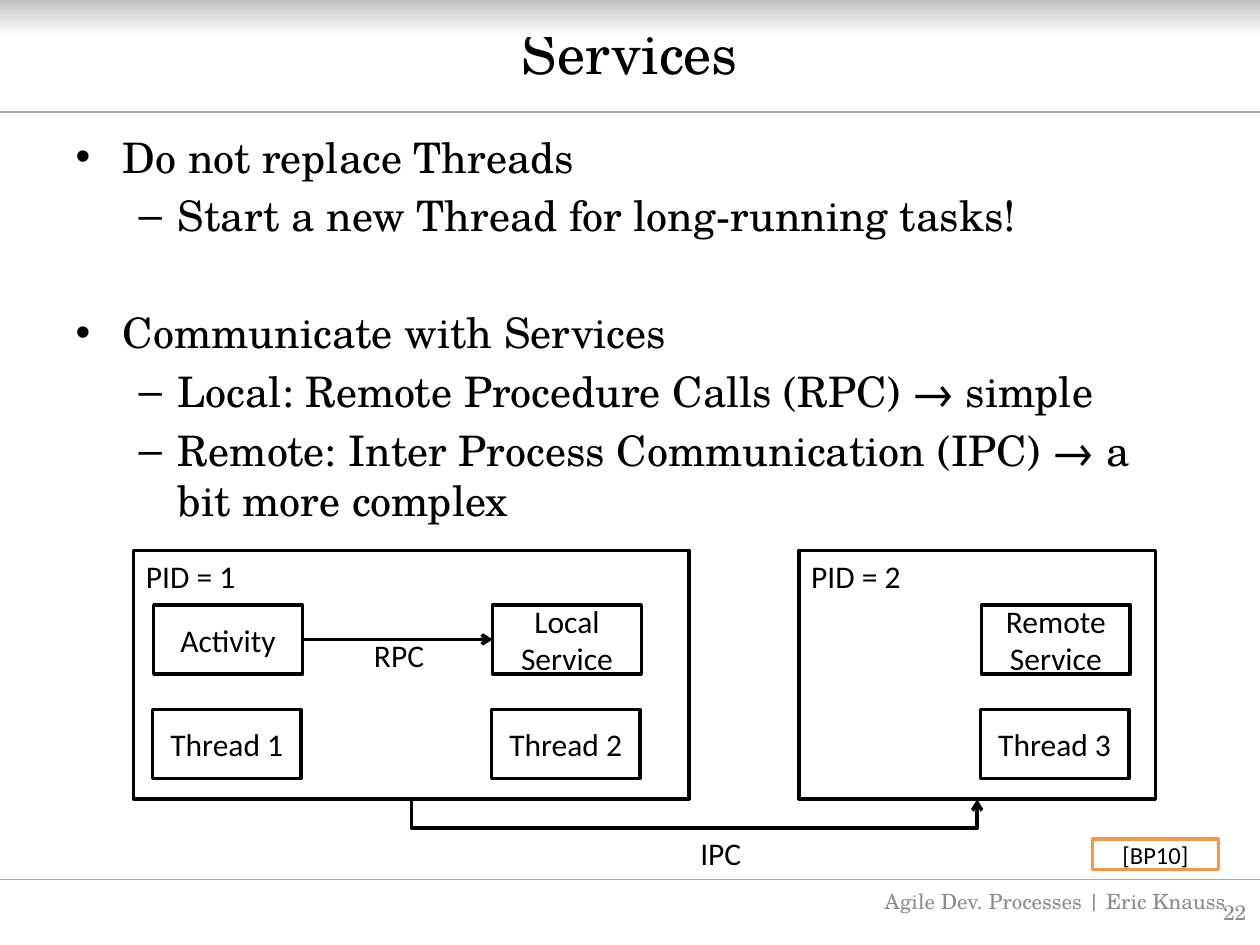
from copy import deepcopy

from lxml import etree
from pptx import Presentation
from pptx.dml.color import RGBColor
from pptx.enum import shapes, text
from pptx.oxml.ns import qn
from pptx.util import Inches, Pt

SERIF, SANS = "TeX Gyre Schola", "Calibri"
BLACK, WHITE, GREY, RULE, ORANGE = "000000", "FFFFFF", "8C8C8C", "A6A6A6", "F79646"
LEFT, CENTER, RIGHT = text.PP_ALIGN.LEFT, text.PP_ALIGN.CENTER, text.PP_ALIGN.RIGHT
TOP, MIDDLE = text.MSO_ANCHOR.TOP, text.MSO_ANCHOR.MIDDLE

TITLE = "Services"
BULLETS = [
    (0, "Do not replace Threads"),
    (1, "Start a new Thread for long-running tasks!"),
    (0, "Communicate with Services"),
    (1, "Local: Remote Procedure Calls (RPC) → simple"),
    (1, "Remote: Inter Process Communication (IPC) → a bit more complex"),
]
PROCESSES = [
    ("PID = 1", 1.06, 4.41, [(1.22, "Activity", "Thread 1"),
                             (3.91, "Local Service", "Thread 2")]),
    ("PID = 2", 6.34, 2.83, [(7.79, "Remote\vService", "Thread 3")]),
]
CALL_LABELS = [("RPC", 2.87, 5, 0.6), ("IPC", 5.46, 6.57, 0.53)]
FOOTERS = [("Agile Dev. Processes | Eric Knauss", 6.79, 6.95, 3.17, CENTER),
           ("22", 9.07, 7.04, 0.92, RIGHT)]
HEADER_STOPS = [(0, "BFBFBF"), (0.34, "D9D9D9"), (1, WHITE)]
PROCESS_TOP, PROCESS_HEIGHT = 4.37, 1.97
PART_WIDTH, PART_HEIGHT, PART_TOP, THREAD_TOP = 1.18, 0.55, 4.8, 5.63
IPC_DROP, IPC_RISE = 0.24, 0.01


def rgb(value):
    return RGBColor.from_string(value)


def write(frame, words, size, font=SANS, color=BLACK, align=LEFT, anchor=TOP):
    frame.text = words
    frame.vertical_anchor = anchor
    for paragraph in frame.paragraphs:
        paragraph.alignment = align
        for run in paragraph.runs:
            run.font.size, run.font.name = Pt(size), font
            run.font.color.rgb = rgb(color)


def place(part, *box):
    part.left, part.top, part.width, part.height = map(Inches, box)


def add_box(slide, words, box, line=BLACK, size=18, align=CENTER, anchor=MIDDLE):
    rect = slide.shapes.add_shape(shapes.MSO_SHAPE.RECTANGLE, *map(Inches, box))
    rect.shadow.inherit = False
    rect.fill.solid()
    rect.fill.fore_color.rgb = rgb(WHITE)
    rect.line.color.rgb = rgb(line)
    rect.line.width = Pt(2)
    write(rect.text_frame, words, size, align=align, anchor=anchor)
    return rect


def add_label(slide, words, box, wrap, **style):
    frame = slide.shapes.add_textbox(*map(Inches, box)).text_frame
    frame.word_wrap = wrap
    write(frame, words, **style)


def add_line(slide, ends, color=BLACK, width=2.0, arrow=False,
             kind=shapes.MSO_CONNECTOR.STRAIGHT):
    line = slide.shapes.add_connector(kind, *map(Inches, ends))
    line.line.color.rgb = rgb(color)
    line.line.width = Pt(width)
    if arrow:
        etree.SubElement(line.line._get_or_add_ln(), qn("a:tailEnd"), type="arrow")
    etree.SubElement(line._element.spPr, qn("a:effectLst"))
    return line


def add_header(slide):
    band = slide.shapes.add_shape(
        shapes.MSO_SHAPE.RECTANGLE, 0, 0, Inches(10), Inches(0.29))
    band.shadow.inherit = False
    band.line.fill.background()
    band.fill.gradient()
    band.fill.gradient_angle = 270
    first = band._element.spPr.find(".//" + qn("a:gs"))
    first.addnext(deepcopy(first))
    for stop, (position, color) in zip(band.fill.gradient_stops, HEADER_STOPS):
        stop.position = position
        stop.color.rgb = rgb(color)
    for y in (6.98, 0.89):
        add_line(slide, (0, y, 10, y), RULE, 0.75)


def add_bullets(body):
    place(body, 0.5, 0.99, 9, 3.54)
    frame = body.text_frame
    write(frame, "\n".join(words for _, words in BULLETS), 24, SERIF)
    frame.auto_size = text.MSO_AUTO_SIZE.NONE
    for paragraph, (level, _) in zip(frame.paragraphs, BULLETS):
        paragraph.level = level
    frame.paragraphs[2].space_before = Pt(38)


def add_ipc(slide, start, end):
    bottom = PROCESS_TOP + PROCESS_HEIGHT
    arrow = add_line(slide, (start, bottom, end, bottom), arrow=True,
                     kind=shapes.MSO_CONNECTOR.ELBOW)
    span = end - start
    place(arrow, (start + end - IPC_RISE) / 2, bottom - span / 2, IPC_RISE, span)
    properties = arrow._element.spPr
    properties.xfrm.set("rot", str(270 * 60000))
    properties.xfrm.set("flipH", "1")
    adjust = properties.find(qn("a:prstGeom")).get_or_add_avLst()
    etree.SubElement(adjust, qn("a:gd"), name="adj1",
                     fmla=f"val {round(IPC_DROP / IPC_RISE * 100000)}")


def add_processes(slide):
    parts, middles = [], []
    for name, left, width, columns in PROCESSES:
        add_box(slide, name, (left, PROCESS_TOP, width, PROCESS_HEIGHT),
                align=LEFT, anchor=TOP)
        middles.append(left + width / 2)
        for x, part, thread in columns:
            parts.append(add_box(slide, part, (x, PART_TOP, PART_WIDTH, PART_HEIGHT)))
            add_box(slide, thread, (x - 0.01, THREAD_TOP, PART_WIDTH, PART_HEIGHT))
    activity, local_service = parts[:2]
    rpc = add_line(slide, (2.4, 5.08, 3.91, 5.08), arrow=True)
    rpc.begin_connect(activity, 3)
    rpc.end_connect(local_service, 1)
    add_ipc(slide, *middles)
    for words, x, y, width in CALL_LABELS:
        add_label(slide, words, (x, y, width, 0.4), False, size=18)


def main():
    deck = Presentation()
    deck.slide_width, deck.slide_height = Inches(10), Inches(7.5)
    slide = deck.slides.add_slide(deck.slide_layouts[1])
    add_header(slide)
    title, body = slide.placeholders
    place(title, 0.5, 0.03, 9, 0.77)
    write(title.text_frame, TITLE, 32, SERIF, align=CENTER, anchor=MIDDLE)
    add_bullets(body)
    add_processes(slide)
    citation = add_box(slide, "[BP10]", (8.67, 6.66, 1, 0.24), ORANGE, 14)
    citation.text_frame.margin_left = citation.text_frame.margin_right = 0
    for words, x, y, width, align in FOOTERS:
        add_label(slide, words, (x, y, width, 0.4), True, size=12, font=SERIF,
                  color=GREY, align=align, anchor=MIDDLE)
    deck.save("out.pptx")


if __name__ == "__main__":
    main()
